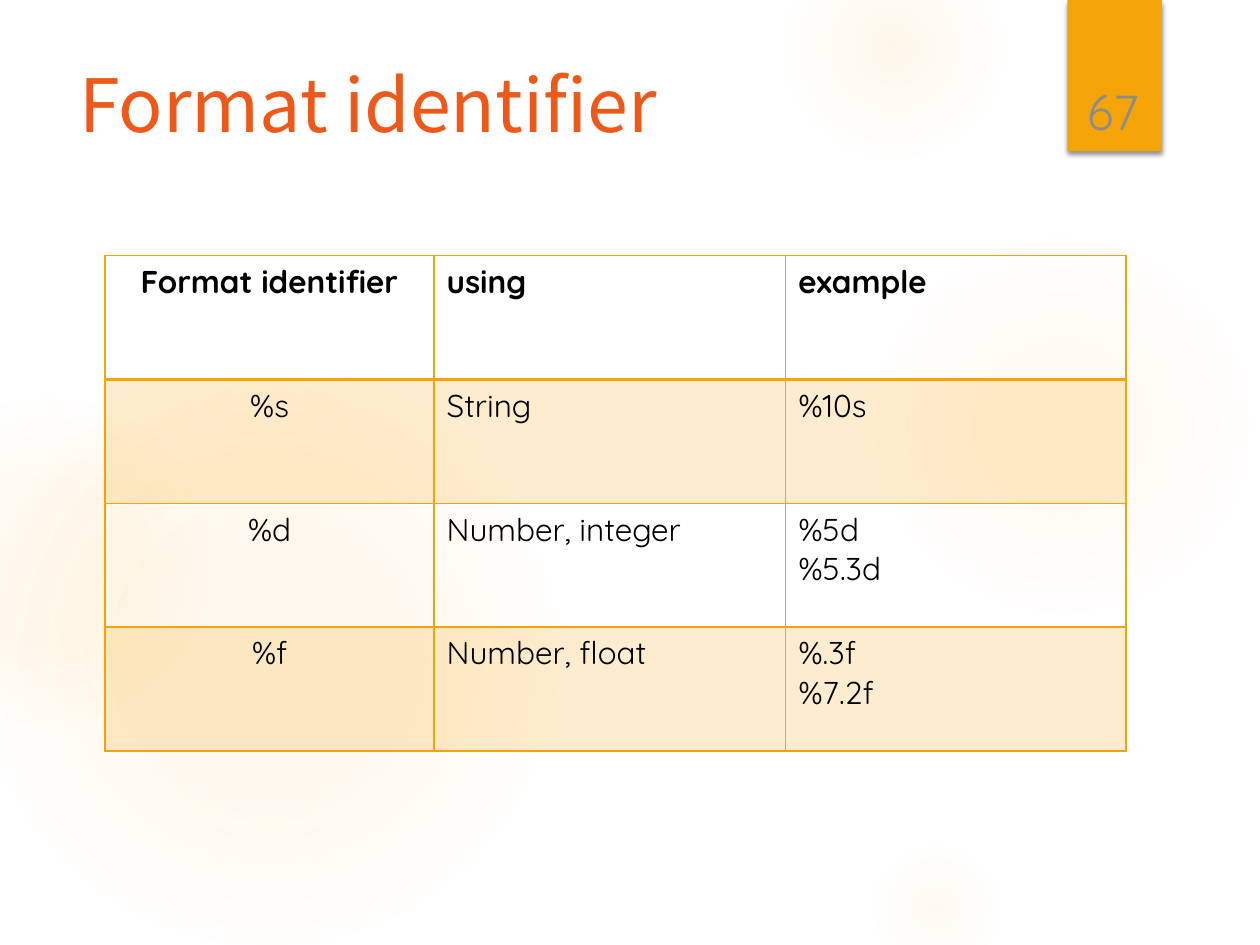
from lxml import etree
from pptx import Presentation
from pptx.dml.color import RGBColor
from pptx.enum.shapes import MSO_SHAPE
from pptx.enum.text import MSO_ANCHOR, PP_ALIGN
from pptx.oxml import parse_xml
from pptx.oxml.ns import nsdecls, qn
from pptx.util import Pt

ORANGE = "F5A408"


def rgb(value):
    return RGBColor.from_string(value)


def write(p, text, size, font, color, bold=False):
    r = p.add_run()
    r.text = text
    r.font.color.rgb = rgb(color)
    for key, value in {"size": Pt(size), "name": font, "bold": bold}.items():
        setattr(r.font, key, value)


prs = Presentation()
prs.slide_width, prs.slide_height = Pt(720), Pt(540)
s = prs.slides.add_slide(prs.slide_layouts[5])

# Soft background glows: left, top, diameter, (position, opacity) stops in percent
glows = [
    (496, 132, 222, [(0, 7), (36, 6), (69, 0)]),
    (448, -36, 126, [(0, 14), (36, 7), (73, 0)]),
    (496, 480, 78, [(0, 10), (31, 5), (66, 0)]),
    (-12, 210, 330, [(0, 11), (36, 10), (75, 0)]),
    (-66, 228, 186, [(0, 8), (36, 8), (72, 0)]),
]
for left, top, size, stops in glows:
    sp = s.shapes.add_shape(MSO_SHAPE.OVAL, Pt(left), Pt(top), Pt(size), Pt(size))
    sp.shadow.inherit = False
    sp.line.fill.background()
    stop_xml = "".join(
        f'<a:gs pos="{pos * 1000}"><a:srgbClr val="FAC96A">'
        f'<a:alpha val="{alpha * 1000}"/></a:srgbClr></a:gs>'
        for pos, alpha in stops)
    sp.element.spPr.find(qn("a:prstGeom")).addnext(parse_xml(
        f'<a:gradFill {nsdecls("a")}><a:gsLst>{stop_xml}</a:gsLst><a:path path="circle">'
        '<a:fillToRect l="50000" t="50000" r="50000" b="50000"/></a:path></a:gradFill>'))

# Page number tab
tab = s.shapes.add_shape(MSO_SHAPE.RECTANGLE, Pt(610), Pt(0), Pt(54), Pt(86.4))
tab.fill.solid()
tab.fill.fore_color.rgb = rgb(ORANGE)
tab.line.fill.background()
tab.shadow.inherit = False
tab.element.spPr.find(qn("a:effectLst")).append(parse_xml(
    f'<a:outerShdw {nsdecls("a")} blurRad="{Pt(3)}" dist="{Pt(2)}" dir="5400000" '
    'rotWithShape="0"><a:srgbClr val="000000"><a:alpha val="45000"/></a:srgbClr></a:outerShdw>'))

# Title, in front of the background
title = s.shapes.title
title.element.getparent().append(title.element)
for key, value in {"left": 38, "top": 36, "width": 556, "height": 110}.items():
    setattr(title, key, Pt(value))
tf = title.text_frame
tf.word_wrap = True
tf.vertical_anchor = MSO_ANCHOR.TOP
p = tf.paragraphs[0]
p.alignment = PP_ALIGN.LEFT
p.line_spacing = 0.9
write(p, "Format identifier", 42, "Noto Sans CJK KR", "EE5818")

# Page number
tf = s.shapes.add_textbox(Pt(611), Pt(23), Pt(50), Pt(60.5)).text_frame
tf.word_wrap = True
tf.vertical_anchor = MSO_ANCHOR.BOTTOM
p = tf.paragraphs[0]
p.alignment = PP_ALIGN.CENTER
write(p, "67", 28, "Quicksand", "8C8C8C")

# Table of format identifiers
rows = [
    ("Format identifier", "using", "example"),
    ("%s", "String", "%10s"),
    ("%d", "Number, integer", "%5d\n%5.3d"),
    ("%f", "Number, float", "%.3f\n%7.2f"),
]
widths, row_height = (188, 201, 194.5), 70.8
table = s.shapes.add_table(len(rows), len(widths), Pt(60), Pt(146),
                           Pt(sum(widths)), Pt(row_height * len(rows))).table
for column, width in zip(table.columns, widths):
    column.width = Pt(width)
for i, row in enumerate(rows):
    table.rows[i].height = Pt(row_height)
    for j, text in enumerate(row):
        cell = table.cell(i, j)
        tf = cell.text_frame
        for n, line in enumerate(text.split("\n")):
            p = tf.add_paragraph() if n else tf.paragraphs[0]
            p.alignment = PP_ALIGN.LEFT if j else PP_ALIGN.CENTER
            write(p, line, 18, "Quicksand", "000000", bold=i == 0)
        # Banding on every second row
        tcPr = cell._tc.get_or_add_tcPr()
        if i % 2:
            cell.fill.solid()
            cell.fill.fore_color.rgb = rgb(ORANGE)
            etree.SubElement(tcPr.find(".//" + qn("a:srgbClr")), qn("a:alpha"), val="20000")
        else:
            cell.fill.background()
        # Borders, with a heavier rule under the header
        for k, side in enumerate(("lnL", "lnR", "lnT", "lnB")):
            heavy = (i, side) in ((0, "lnB"), (1, "lnT"))
            tcPr.insert(k, parse_xml(
                f'<a:{side} {nsdecls("a")} w="{Pt(2 if heavy else 1)}"><a:solidFill>'
                f'<a:srgbClr val="{ORANGE}"/></a:solidFill></a:{side}>'))

prs.save("out.pptx")
